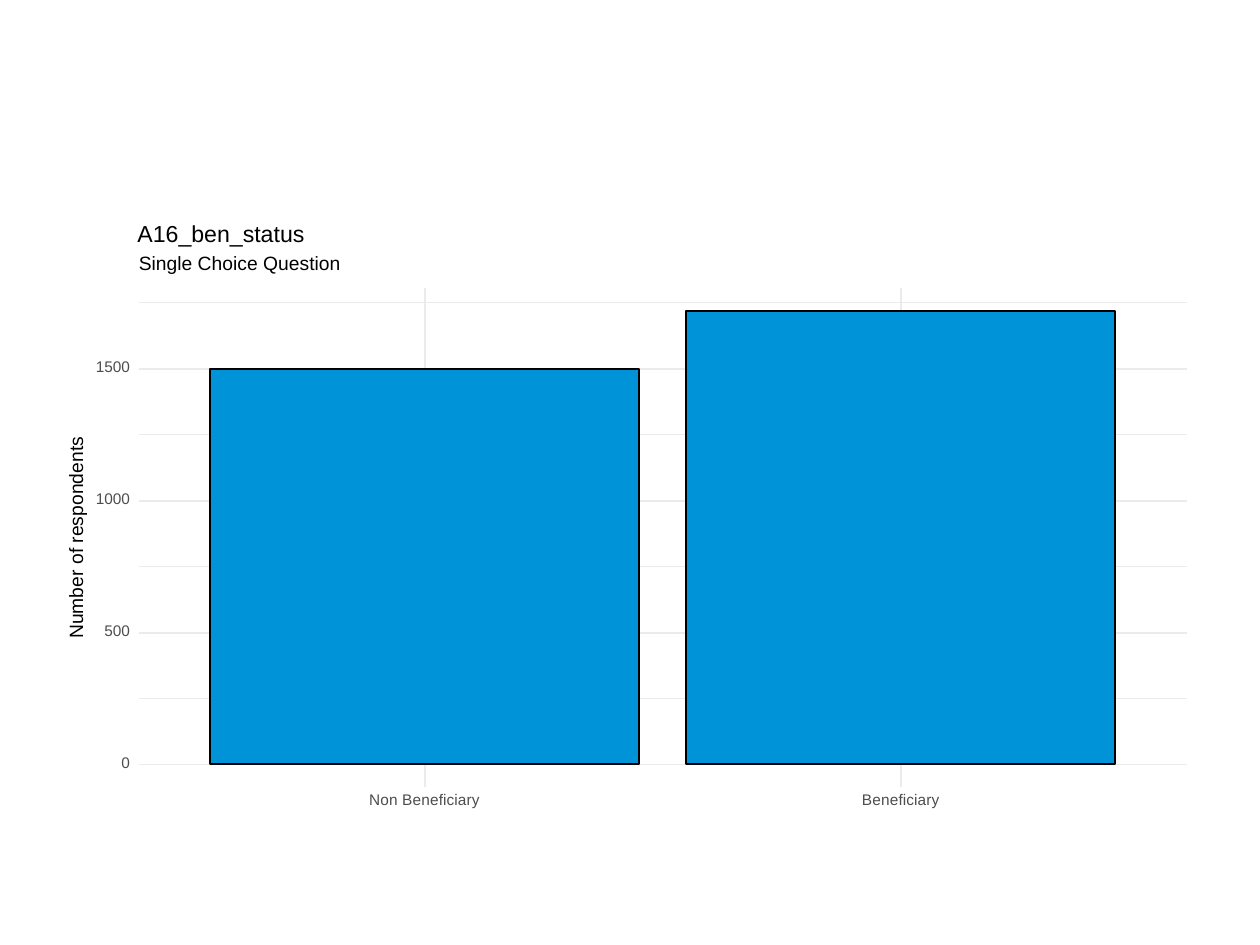
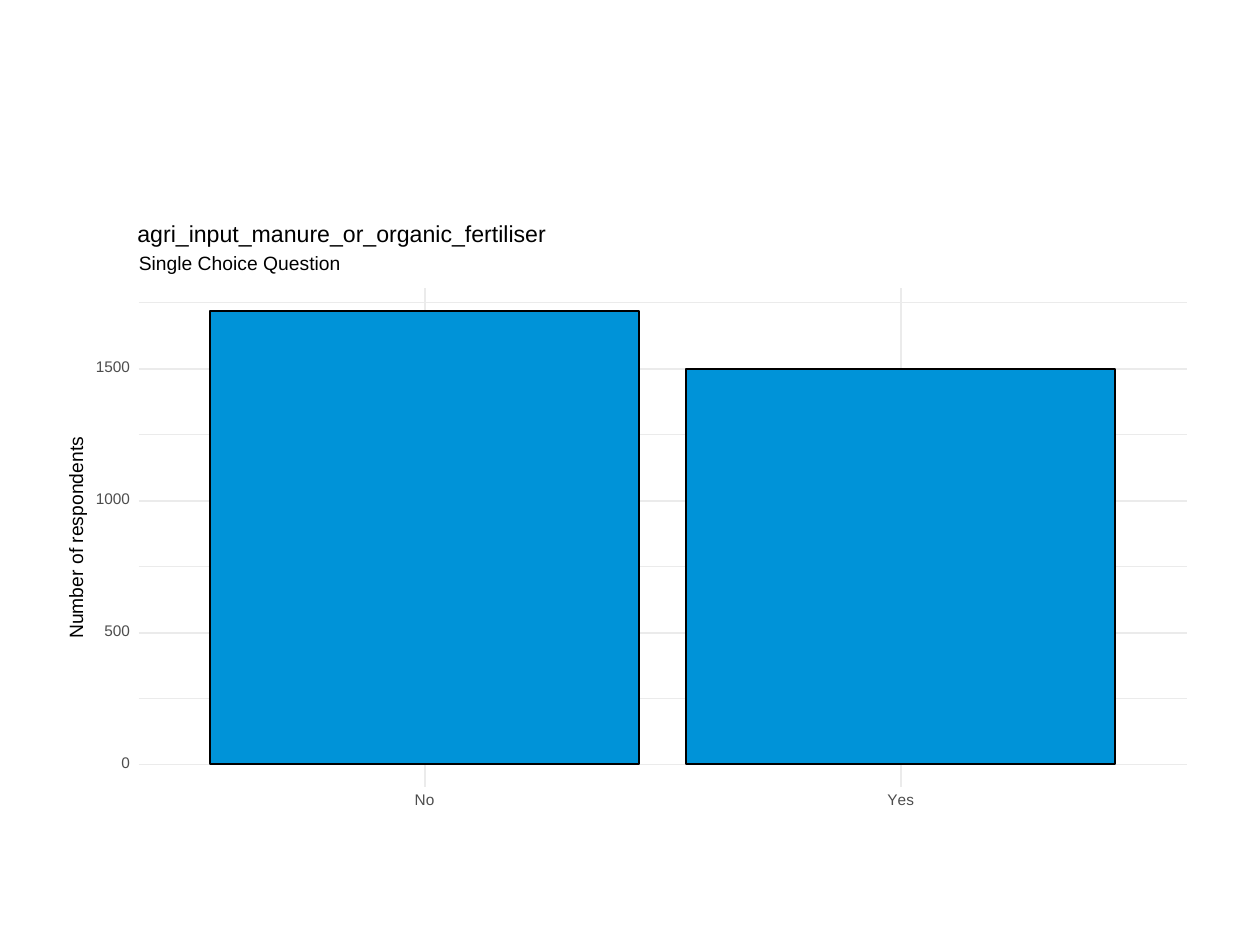
from pptx import Presentation
from pptx.chart.data import CategoryChartData
from pptx.dml.color import RGBColor
from pptx.enum.chart import XL_CHART_TYPE, XL_TICK_LABEL_POSITION, XL_TICK_MARK
from pptx.enum.shapes import MSO_CONNECTOR
from pptx.enum.text import MSO_ANCHOR, MSO_AUTO_SIZE, PP_ALIGN
from pptx.oxml import parse_xml
from pptx.oxml.ns import nsdecls
from pptx.oxml.xmlchemy import OxmlElement
from pptx.util import Cm, Pt

COLUMN = XL_CHART_TYPE.COLUMN_CLUSTERED
LOW = XL_TICK_LABEL_POSITION.LOW
NO_TICK = XL_TICK_MARK.NONE
STRAIGHT = MSO_CONNECTOR.STRAIGHT
MIDDLE = MSO_ANCHOR.MIDDLE
NO_FIT = MSO_AUTO_SIZE.NONE
LEFT, CENTER, RIGHT = PP_ALIGN.LEFT, PP_ALIGN.CENTER, PP_ALIGN.RIGHT

COLORS = {"bar": "0093D8", "edge": "000000", "grid": "EBEBEB",
          "text": "000000", "label": "4D4D4D"}
FONT = "Arial"
PANEL = (2.8, 5.81, 21.12, 10.06)
SIDE = 0.6
GAP = 11
PAD = 0.05
FOOT = 1.0
LIFT = 0.18

SLIDES = [
    ("A16_ben_status", {"Non Beneficiary": 1500, "Beneficiary": 1720}),
    ("agri_input_manure_or_organic_fertiliser", {"No": 1720, "Yes": 1500}),
]


def color(name):
    return RGBColor.from_string(COLORS[name])


def set_font(font, size, name):
    font.name = FONT
    font.size = Pt(size)
    font.bold = False
    font.color.rgb = color(name)


def write(shape, text, box, size, name="text", align=LEFT):
    shape.left, shape.top, shape.width, shape.height = map(Cm, box)
    frame = shape.text_frame
    frame.text = text
    frame.auto_size = NO_FIT
    frame.word_wrap = True
    frame.vertical_anchor = MIDDLE
    frame.margin_left = frame.margin_right = 0
    frame.margin_top = frame.margin_bottom = 0
    line = frame.paragraphs[0]
    line.alignment = align
    line.line_spacing = Pt(size)
    set_font(line.font, size, name)


def add_text(slide, text, box, *style):
    shape = slide.shapes.add_textbox(0, 0, 0, 0)
    write(shape, text, box, *style)
    return shape


def add_line(slide, start, end, weight):
    line = slide.shapes.add_connector(STRAIGHT, *map(Cm, start + end))
    line.line.color.rgb = color("grid")
    line.line.width = Pt(weight)
    line._element.spPr.append(OxmlElement("a:effectLst"))


def add_heads(slide, title, box):
    left, top, width, height = box
    write(slide.shapes.title, title, (left - 0.03, top - 1.28, width, 0.43), 13.2)
    add_text(slide, "Single Choice Question", (left, top - 0.65, width, 0.36), 11)
    long, thick = 4.2, 0.36
    name = add_text(slide, "Number of respondents",
                    (left - 1.24 - long / 2, top + (height - thick) / 2, long, thick),
                    11, "text", CENTER)
    name.rotation = 270


def add_grid(slide, box, count, peak):
    left, top, width, height = box
    high = peak * (1 + PAD)
    scale = height / (peak * (1 + 2 * PAD))
    for value in range(0, int(high) + 1, 250):
        y = top + (high - value) * scale
        major = value % 500 == 0
        add_line(slide, (left, y), (left + width, y), 1.07 if major else 0.53)
        if major:
            add_text(slide, str(value), (left - 1.18, y - 0.12, 1, 0.22),
                     8.8, "label", RIGHT)
    step = width / (count - 1 + 2 * SIDE)
    for index in range(count):
        x = left + (SIDE + index) * step
        add_line(slide, (x, top), (x, top + height), 1.07)


def set_plot(chart, x, w, h):
    plot = chart.element.xpath("c:chart/c:plotArea")[0]
    for old in plot.xpath("c:layout"):
        plot.remove(old)
    plot.insert(0, parse_xml(
        f'<c:layout {nsdecls("c")}><c:manualLayout><c:layoutTarget val="inner"/>'
        '<c:xMode val="edge"/><c:yMode val="edge"/>'
        f'<c:x val="{x:.4f}"/><c:y val="0"/><c:w val="{w:.4f}"/><c:h val="{h:.4f}"/>'
        '</c:manualLayout></c:layout>'))
    clear = (f'<c:spPr {nsdecls("c", "a")}><a:noFill/>'
             '<a:ln><a:noFill/></a:ln></c:spPr>')
    plot.append(parse_xml(clear))
    chart.element.xpath("c:chart")[0].addnext(parse_xml(clear))


def add_bars(slide, box, counts, peak):
    left, top, width, height = box
    data = CategoryChartData()
    data.categories = list(counts)
    data.add_series("Number of respondents", list(counts.values()))
    frame = slide.shapes.add_chart(
        COLUMN, *map(Cm, (left, top, width, height + FOOT)), data)
    chart = frame.chart
    chart.has_title = False
    chart.has_legend = False
    set_font(chart.font, 8.8, "label")
    span = len(counts) - 1 + 2 * SIDE
    set_plot(chart, (SIDE - 0.5) / span, len(counts) / span,
             (height - LIFT) / (height + FOOT))

    axis = chart.value_axis
    lift = LIFT * peak * (1 + 2 * PAD) / height
    axis.minimum_scale = round(lift - peak * PAD, 2)
    axis.maximum_scale = round(peak * (1 + PAD), 2)
    axis.has_major_gridlines = False
    axis.visible = False
    axis = chart.category_axis
    axis.tick_label_position = LOW
    axis.major_tick_mark = NO_TICK
    axis.format.line.fill.background()

    plot = chart.plots[0]
    plot.gap_width = GAP
    plot.vary_by_categories = False
    bars = plot.series[0].format
    bars.fill.solid()
    bars.fill.fore_color.rgb = color("bar")
    bars.line.color.rgb = color("edge")
    bars.line.width = Pt(1.07)


def add_slide(deck, title, counts):
    slide = deck.slides.add_slide(deck.slide_layouts[5])
    peak = max(counts.values())
    add_heads(slide, title, PANEL)
    add_grid(slide, PANEL, len(counts), peak)
    add_bars(slide, PANEL, counts, peak)


def main():
    deck = Presentation()
    deck.slide_width, deck.slide_height = Cm(25.4), Cm(19.05)
    for title, counts in SLIDES:
        add_slide(deck, title, counts)
    deck.save("out.pptx")


if __name__ == "__main__":
    main()
